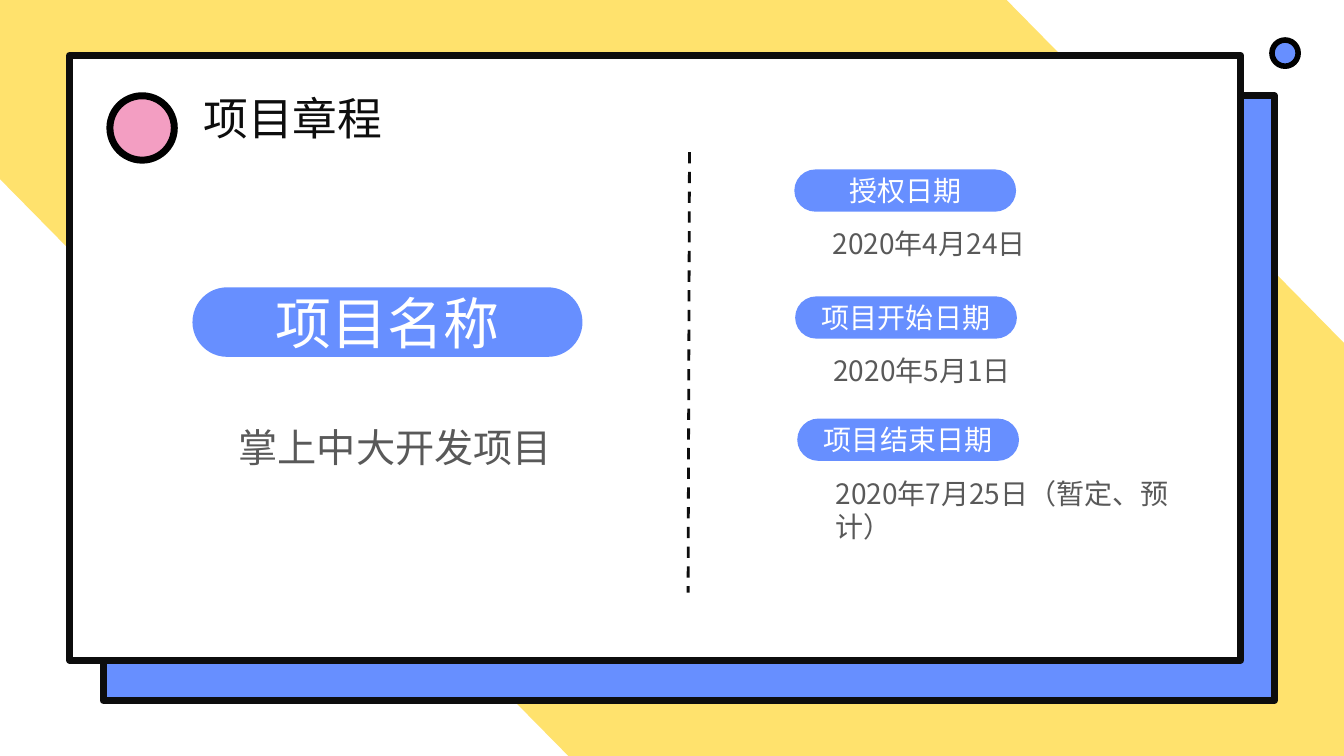
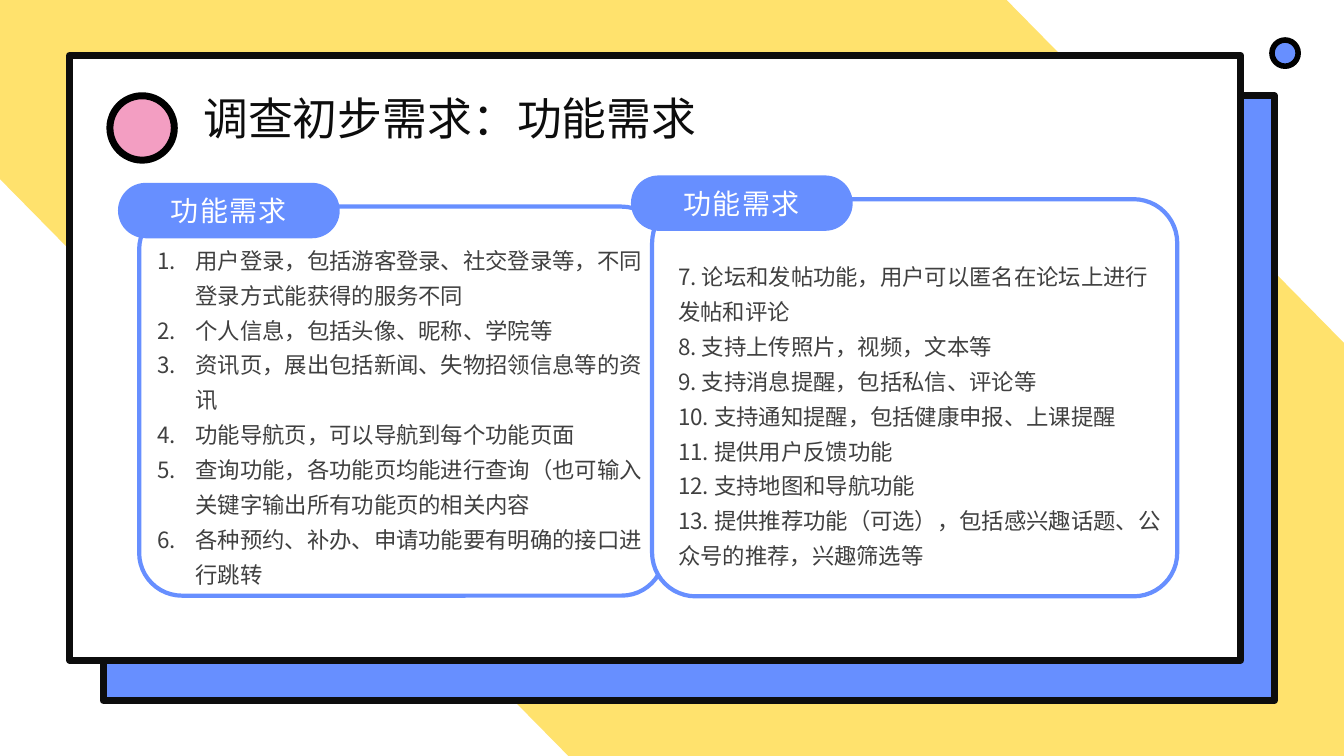
from lxml import etree
from pptx import Presentation
from pptx.dml.color import RGBColor
from pptx.enum.dml import MSO_LINE
from pptx.enum.shapes import MSO_CONNECTOR, MSO_SHAPE
from pptx.enum.text import MSO_ANCHOR, MSO_AUTO_SIZE, PP_ALIGN
from pptx.oxml.ns import qn
from pptx.util import Pt

# Content
CHARTER_TITLE = "项目章程"
PROJECT_LABEL = "项目名称"
PROJECT_NAME = "掌上中大开发项目"
MILESTONES = [  # label, date, left, top
    ("授权日期", "2020年4月24日", 567.4, 121),
    ("项目开始日期", "2020年5月1日", 568, 211.7),
    ("项目结束日期", "2020年7月25日（暂定、预计）", 569.5, 299),
]
NEEDS_TITLE = "调查初步需求：功能需求"
NEEDS_LABEL = "功能需求"
NEEDS_PANELS = [
    {
        "panel": (99.4, 147.6, 375.1, 277.9),
        "text_offset": (5.8, 19.4),
        "numbered": True,
        "items": [
            "用户登录，包括游客登录、社交登录等，不同登录方式能获得的服务不同",
            "个人信息，包括头像、昵称、学院等",
            "资讯页，展出包括新闻、失物招领信息等的资讯",
            "功能导航页，可以导航到每个功能页面",
            "查询功能，各功能页均能进行查询（也可输入关键字输出所有功能页的相关内容",
            "各种预约、补办、申请功能要有明确的接口进行跳转",
        ],
    },
    {
        "panel": (465.8, 142.3, 375.1, 283.7),
        "text_offset": (11.5, 36.3),
        "numbered": False,
        "items": [
            "7. 论坛和发帖功能，用户可以匿名在论坛上进行发帖和评论",
            "8. 支持上传照片，视频，文本等",
            "9. 支持消息提醒，包括私信、评论等",
            "10. 支持通知提醒，包括健康申报、上课提醒",
            "11. 提供用户反馈功能",
            "12. 支持地图和导航功能",
            "13. 提供推荐功能（可选），包括感兴趣话题、公众号的推荐，兴趣筛选等",
        ],
    },
]

# Shared style
FONT = "Noto Sans CJK JP"
FONT_NAME = "Noto Sans CJK SC"
WHITE = RGBColor(0xFF, 0xFF, 0xFF)
BLACK = RGBColor(0x00, 0x00, 0x00)
INK = RGBColor(0x0D, 0x0D, 0x0D)
BLUE = RGBColor(0x67, 0x8F, 0xFF)
PINK = RGBColor(0xF3, 0x9E, 0xC2)
YELLOW = RGBColor(0xFF, 0xE2, 0x6D)
GRAY = RGBColor(0x59, 0x59, 0x59)
DARK_GRAY = RGBColor(0x40, 0x40, 0x40)

SLIDE_WIDTH, SLIDE_HEIGHT = 960, 540
BAND = [(718.6, 0), (0, 0), (0, 128.2), (406.1, SLIDE_HEIGHT),
        (SLIDE_WIDTH, SLIDE_HEIGHT), (SLIDE_WIDTH, 244.8)]
FRAME_SHAPES = [  # kind, box, fill, line colour, line width
    (MSO_SHAPE.RECTANGLE, (73.7, 68.4, 836.6, 432), BLUE, INK, 5),
    (MSO_SHAPE.RECTANGLE, (49.7, 39.6, 836.6, 432), WHITE, INK, 5),
    (MSO_SHAPE.OVAL, (78.5, 68.4, 46, 46), PINK, BLACK, 5),
    (MSO_SHAPE.OVAL, (908.6, 28.6, 18.7, 18.7), BLUE, BLACK, 4),
]


def format_run(run, size, color, font=FONT, spacing=0):
    run.font.size = Pt(size)
    run.font.color.rgb = color
    run.font.name = font
    properties = run.font._element
    etree.SubElement(properties, qn("a:ea")).set("typeface", font)
    if spacing:
        properties.set("spc", str(spacing * 100))


def add_box(slide, kind, box, fill, line=None, line_width=0, corner=None):
    shape = slide.shapes.add_shape(kind, *map(Pt, box))
    shape.shadow.inherit = False
    shape.fill.solid()
    shape.fill.fore_color.rgb = fill
    if line is None:
        shape.line.fill.background()
    else:
        shape.line.color.rgb = line
        shape.line.width = Pt(line_width)
    if corner is not None:
        shape.adjustments[0] = corner
    return shape


def add_pill(slide, text, box, size, spacing=0):
    shape = add_box(slide, MSO_SHAPE.ROUNDED_RECTANGLE, box, BLUE, corner=0.5)
    text_frame = shape.text_frame
    text_frame.text = text
    text_frame.vertical_anchor = MSO_ANCHOR.MIDDLE
    paragraph = text_frame.paragraphs[0]
    paragraph.alignment = PP_ALIGN.CENTER
    format_run(paragraph.runs[0], size, WHITE, spacing=spacing)


def add_text(slide, lines, box, size, color, font=FONT, line_spacing=None,
             left_margin=0, indent=0, numbered=False):
    text_frame = slide.shapes.add_textbox(*map(Pt, box)).text_frame
    text_frame.word_wrap = True
    text_frame.auto_size = MSO_AUTO_SIZE.SHAPE_TO_FIT_TEXT
    text_frame.text = "\n".join(lines)
    for paragraph in text_frame.paragraphs:
        paragraph.line_spacing = line_spacing
        properties = paragraph._p.get_or_add_pPr()
        properties.set("marL", str(Pt(left_margin)))
        properties.set("indent", str(Pt(indent)))
        if numbered:
            bullet = etree.SubElement(properties, qn("a:buAutoNum"))
            bullet.set("type", "arabicPeriod")
        format_run(paragraph.runs[0], size, color, font)


def add_divider(slide, start, end):
    line = slide.shapes.add_connector(MSO_CONNECTOR.STRAIGHT, *map(Pt, start + end))
    line.line.color.rgb = INK
    line.line.width = Pt(2)
    line.line.dash_style = MSO_LINE.DASH
    etree.SubElement(line._element.spPr, qn("a:effectLst"))


def add_framed_slide(presentation, title):
    slide = presentation.slides.add_slide(presentation.slide_layouts[6])
    # Yellow diagonal band
    builder = slide.shapes.build_freeform(*BAND[0], scale=Pt(1))
    builder.add_line_segments(BAND[1:], close=True)
    band = builder.convert_to_shape()
    band.shadow.inherit = False
    band.fill.solid()
    band.fill.fore_color.rgb = YELLOW
    band.line.fill.background()
    # Cards and dots
    for kind, box, fill, line, width in FRAME_SHAPES:
        add_box(slide, kind, box, fill, line, width)
    add_text(slide, [title], (138.2, 61.2, 434, 46), 32, INK)
    return slide


def build_charter(presentation):
    slide = add_framed_slide(presentation, CHARTER_TITLE)
    # Project name
    add_text(slide, [PROJECT_NAME], (127.4, 265, 368, 64.8), 28, GRAY,
             FONT_NAME, line_spacing=2, indent=36)
    add_pill(slide, PROJECT_LABEL, (137.5, 205.2, 278.6, 49.7), 40)
    add_divider(slide, (492.5, 108.7), (491.5, 423.4))
    # Dates
    for label, date, left, top in MILESTONES:
        add_pill(slide, label, (left, top, 158.4, 30.2), 20)
        add_text(slide, [date], (left + 20.2, top + 37.5, 267.1, 31.7), 20, GRAY)


def build_needs(presentation):
    slide = add_framed_slide(presentation, NEEDS_TITLE)
    for group in NEEDS_PANELS:
        left, top, width, height = group["panel"]
        shift_x, shift_y = group["text_offset"]
        margin = 27.36 if group["numbered"] else 0
        add_box(slide, MSO_SHAPE.ROUNDED_RECTANGLE, group["panel"], WHITE,
                BLUE, 3, corner=0.11)
        add_pill(slide, NEEDS_LABEL, (left - 15.1, top - 17, 158.4, 39.6), 20, spacing=1)
        add_text(slide, group["items"],
                 (left + shift_x, top + shift_y, 363.6, height - shift_y), 16,
                 DARK_GRAY, line_spacing=1.3, left_margin=margin,
                 indent=-margin, numbered=group["numbered"])


def main():
    presentation = Presentation()
    presentation.slide_width = Pt(SLIDE_WIDTH)
    presentation.slide_height = Pt(SLIDE_HEIGHT)
    build_charter(presentation)
    build_needs(presentation)
    presentation.save("out.pptx")


if __name__ == "__main__":
    main()
